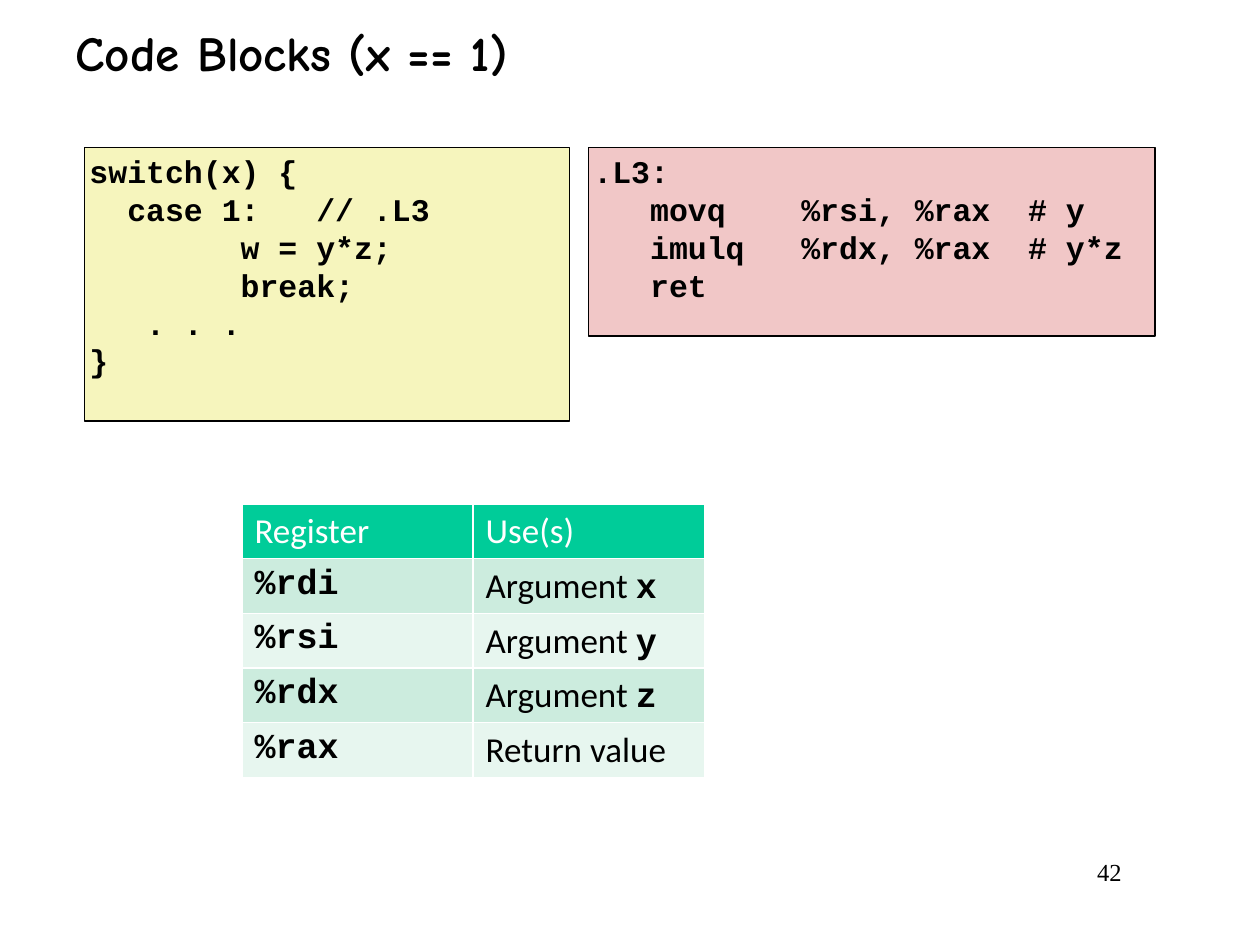
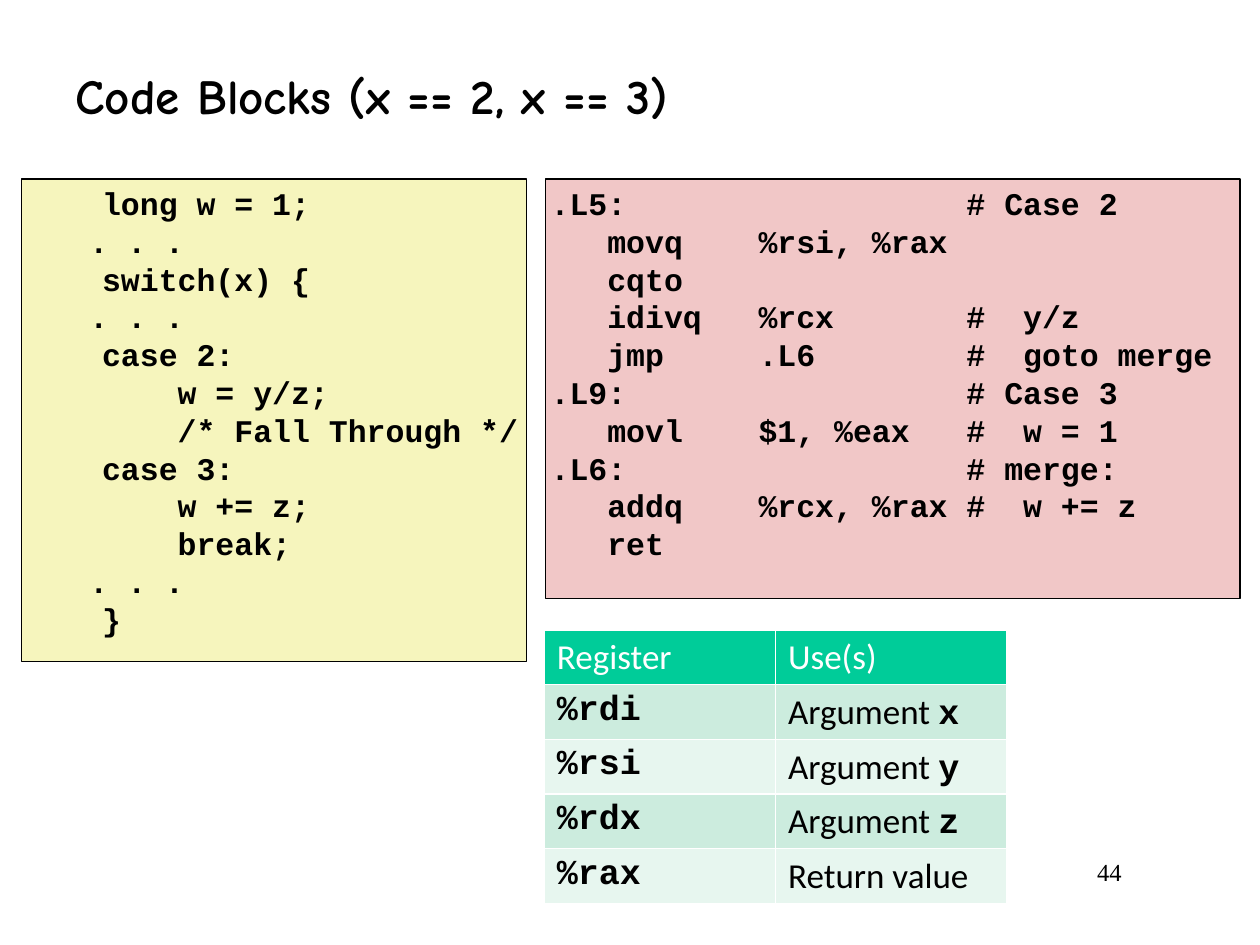
from pptx import Presentation
from pptx.dml.color import RGBColor
from pptx.enum.shapes import MSO_SHAPE as Shape
from pptx.enum.text import MSO_ANCHOR as Anchor, MSO_AUTO_SIZE as AutoSize, PP_ALIGN as Align
from pptx.util import Inches, Pt

COLORS = {
    "ink": "000000",
    "header_text": "FFFFFF",
    "c_code": "F6F5BD",
    "assembly": "F1C7C7",
    "header": "00CC99",
    "odd_row": "CCECDE",
    "even_row": "E7F6EF",
}
TITLE_FONT, CODE_FONT = "Comic Neue", "Courier New"
TABLE_FONT, NUMBER_FONT = "Calibri", "Times New Roman"

REGISTERS = [
    ("%rdi", "Argument ", "x"),
    ("%rsi", "Argument ", "y"),
    ("%rdx", "Argument ", "z"),
    ("%rax", "Return value", ""),
]

SWITCH_ONE = """switch(x) {
  case 1:\t  // .L3
        w = y*z;
        break;
   . . .
}"""

ASSEMBLY_ONE = """.L3:
   movq    %rsi, %rax  # y
   imulq   %rdx, %rax  # y*z
   ret"""

SWITCH_TWO_THREE = """    long w = 1;
\t. . .
    switch(x) {
 \t. . .
    case 2:
        w = y/z;
        /* Fall Through */
    case 3:
        w += z;
        break;
 \t. . .
    }"""

ASSEMBLY_TWO_THREE = """.L5:                  # Case 2
   movq    %rsi, %rax
   cqto
   idivq   %rcx       #  y/z
   jmp     .L6        #  goto merge
.L9:                  # Case 3
   movl    $1, %eax   #  w = 1
.L6:                  # merge:
   addq    %rcx, %rax #  w += z
   ret"""


def color(name):
    return RGBColor.from_string(COLORS[name])


def add_span(para, text, font=CODE_FONT, size=18, ink="ink", bold=True):
    span = para.add_run()
    span.text = text
    span.font.name = font
    span.font.size = Pt(size)
    span.font.bold = bold
    span.font.color.rgb = color(ink)


class SlideBuilder:
    def __init__(self, deck):
        self.deck = deck
        self.page = None

    def start(self, title, top, height, number):
        self.page = self.deck.slides.add_slide(self.deck.slide_layouts[5])
        box = self.page.shapes.title
        box.left, box.top = Inches(0.5), Inches(top)
        box.width, box.height = Inches(8.83), Inches(height)
        frame = box.text_frame
        frame.auto_size = AutoSize.NONE
        frame.vertical_anchor = Anchor.MIDDLE
        para = frame.paragraphs[0]
        para.alignment = Align.LEFT
        add_span(para, title, font=TITLE_FONT, size=28)
        self.number(number)

    def number(self, number):
        box = self.page.shapes.add_textbox(
            Inches(7.58), Inches(6.75), Inches(1.42), Inches(0.5))
        box.text_frame.word_wrap = True
        para = box.text_frame.paragraphs[0]
        para.alignment = Align.RIGHT
        add_span(para, str(number), font=NUMBER_FONT, size=14, bold=False)

    def code(self, listing, fill, left, top, width, height):
        box = self.page.shapes.add_shape(
            Shape.RECTANGLE, Inches(left), Inches(top), Inches(width), Inches(height))
        box.shadow.inherit = False
        box.fill.solid()
        box.fill.fore_color.rgb = color(fill)
        box.line.color.rgb = color("ink")
        box.line.width = Pt(1)
        frame = box.text_frame
        frame.word_wrap = True
        frame.vertical_anchor = Anchor.TOP
        frame.margin_left = frame.margin_right = Inches(0.04)
        frame.margin_top = frame.margin_bottom = Inches(0.04)
        for index, line in enumerate(listing.split("\n")):
            para = frame.add_paragraph() if index else frame.paragraphs[0]
            para.alignment = Align.LEFT
            para.line_spacing = Pt(21.6)
            add_span(para, line)

    def cell(self, cell, fill, *spans):
        cell.fill.solid()
        cell.fill.fore_color.rgb = color(fill)
        for text, style in spans:
            add_span(cell.text_frame.paragraphs[0], text, size=20, **style)

    def registers(self, left, top):
        rows = len(REGISTERS) + 1
        table = self.page.shapes.add_table(
            rows, 2, Inches(left), Inches(top), Inches(3.67), Inches(0.42 * rows)).table
        label = {"font": TABLE_FONT, "bold": False}
        for column, heading in enumerate(("Register", "Use(s)")):
            self.cell(table.cell(0, column), "header",
                      (heading, {**label, "ink": "header_text"}))
        for row, (register, use, variable) in enumerate(REGISTERS, 1):
            fill = "odd_row" if row % 2 else "even_row"
            use_spans = [(use, label)]
            if variable:
                use_spans.append((variable, {}))
            self.cell(table.cell(row, 0), fill, (register, {}))
            self.cell(table.cell(row, 1), fill, *use_spans)


def main():
    deck = Presentation()
    deck.slide_width, deck.slide_height = Inches(10), Inches(7.5)
    builder = SlideBuilder(deck)

    builder.start("Code Blocks (x == 1)", top=0, height=0.83, number=42)
    builder.code(ASSEMBLY_ONE, "assembly", 4.67, 1.17, 4.5, 1.5)
    builder.code(SWITCH_ONE, "c_code", 0.67, 1.17, 3.85, 2.17)
    builder.registers(1.92, 4)

    builder.start("Code Blocks (x == 2, x == 3)", top=0.25, height=1, number=44)
    builder.code(ASSEMBLY_TWO_THREE, "assembly", 4.33, 1.42, 5.51, 3.33)
    builder.code(SWITCH_TWO_THREE, "c_code", 0.17, 1.42, 4.01, 3.83)
    builder.registers(4.32, 5)

    deck.save("out.pptx")


if __name__ == "__main__":
    main()
